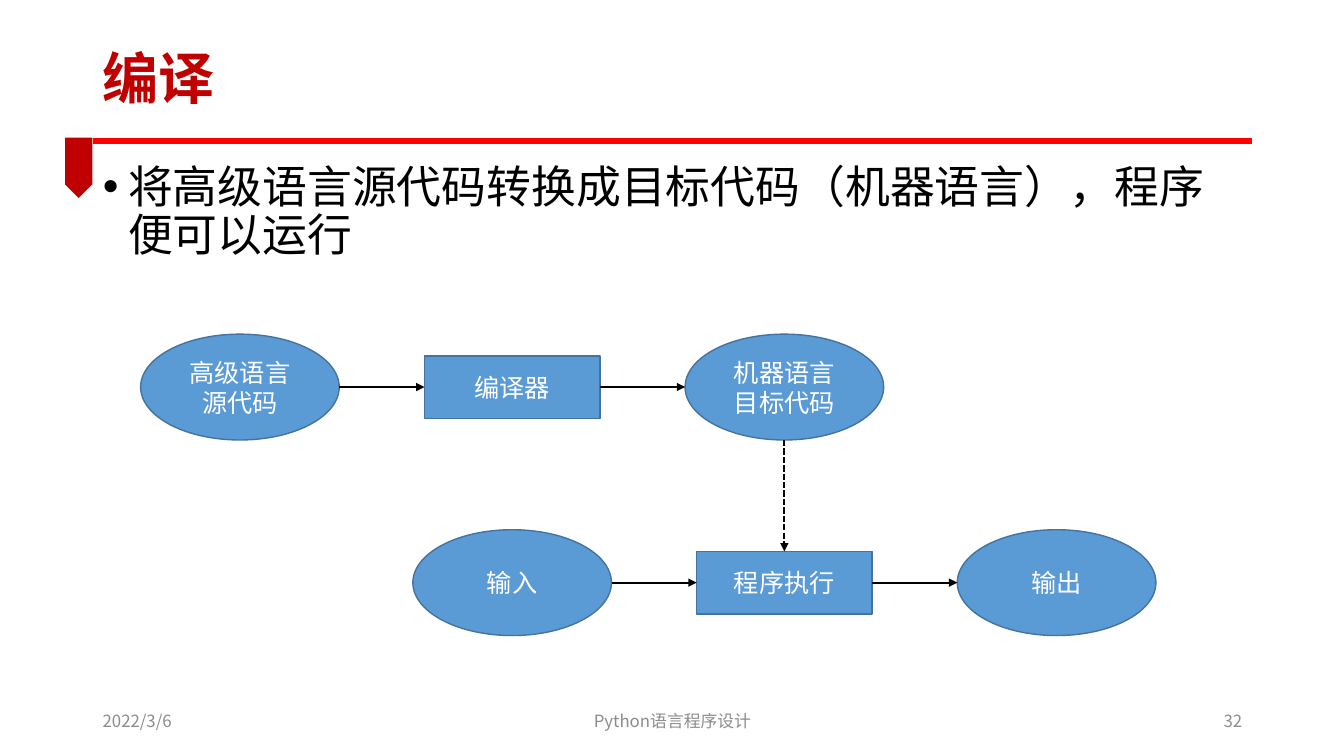
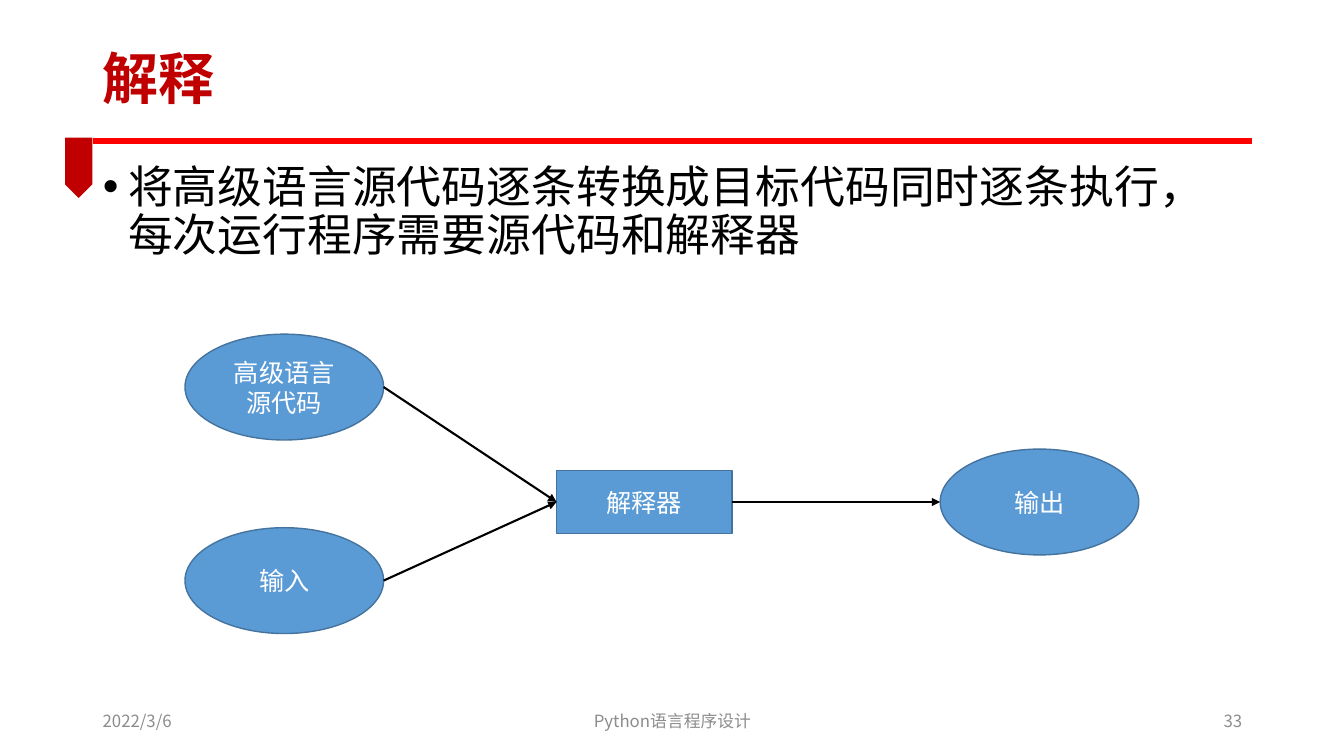
from lxml import etree
from pptx import Presentation
from pptx.dml.color import RGBColor
from pptx.enum.dml import MSO_LINE
from pptx.enum.shapes import MSO_CONNECTOR, MSO_SHAPE
from pptx.enum.text import MSO_ANCHOR, MSO_AUTO_SIZE, PP_ALIGN
from pptx.oxml.ns import qn
from pptx.util import Inches, Pt

OVAL, BOX, RIBBON = MSO_SHAPE.OVAL, MSO_SHAPE.RECTANGLE, MSO_SHAPE.PENTAGON
STRAIGHT = MSO_CONNECTOR.STRAIGHT
LEFT, CENTER, RIGHT = PP_ALIGN.LEFT, PP_ALIGN.CENTER, PP_ALIGN.RIGHT
MIDDLE, TOP = MSO_ANCHOR.MIDDLE, MSO_ANCHOR.TOP
SOLID, DASHED = MSO_LINE.SOLID, MSO_LINE.SQUARE_DOT

THEME = {
    "font": "Noto Sans CJK SC",
    "rule": RGBColor(0xFF, 0x00, 0x00),
    "ribbon": RGBColor(0xC0, 0x00, 0x00),
    "node": RGBColor(0x5B, 0x9B, 0xD5),
    "node_edge": RGBColor(0x43, 0x73, 0x9E),
    "arrow": RGBColor(0x00, 0x00, 0x00),
    "title": {"size": Pt(40), "bold": True, "color": RGBColor(0xC0, 0x00, 0x00)},
    "body": {"size": Pt(32), "bold": False, "color": RGBColor(0x00, 0x00, 0x00)},
    "footer": {"size": Pt(12), "bold": False, "color": RGBColor(0x8C, 0x8C, 0x8C)},
    "label": {"size": Pt(18), "bold": False, "color": RGBColor(0xFF, 0xFF, 0xFF)},
}

NODE_SIZE = {OVAL: (1.97, 1.05), BOX: (1.74, 0.62)}
# Direction: (x step, y step, site at the start, site at the end)
DIRECTIONS = {"right": (1, 0, 3, 1), "down": (0, 1, 2, 0)}

COLUMNS = [2.38 + 2.7 * i for i in range(4)]
UPPER, LOWER = 3.84, 5.78

# Nodes: label -> (shape, centre x, centre y); flows: (from, to, direction, dash)
SLIDES = [
    {
        "title": "编译",
        "body": "将高级语言源代码转换成目标代码（机器语言），程序便可以运行",
        "number": "32",
        "nodes": {
            "高级语言源代码": (OVAL, COLUMNS[0], UPPER),
            "机器语言目标代码": (OVAL, COLUMNS[2], UPPER),
            "输入": (OVAL, COLUMNS[1], LOWER),
            "输出": (OVAL, COLUMNS[3], LOWER),
            "编译器": (BOX, COLUMNS[1], UPPER),
            "程序执行": (BOX, COLUMNS[2], LOWER),
        },
        "flows": [
            ("高级语言源代码", "编译器", "right", SOLID),
            ("编译器", "机器语言目标代码", "right", SOLID),
            ("机器语言目标代码", "程序执行", "down", DASHED),
            ("输入", "程序执行", "right", SOLID),
            ("程序执行", "输出", "right", SOLID),
        ],
    },
    {
        "title": "解释",
        "body": "将高级语言源代码逐条转换成目标代码同时逐条执行，每次运行程序需要源代码和解释器",
        "number": "33",
        "nodes": {
            "高级语言源代码": (OVAL, 2.82, UPPER),
            "输入": (OVAL, 2.82, 5.76),
            "输出": (OVAL, 10.31, 4.98),
            "解释器": (BOX, 6.39, 4.98),
        },
        "flows": [
            ("高级语言源代码", "解释器", "right", SOLID),
            ("输入", "解释器", "right", SOLID),
            ("解释器", "输出", "right", SOLID),
        ],
    },
]


def write(frame, text, style, align, anchor=MIDDLE):
    """Fill a text frame with one paragraph in a style of the theme."""
    frame.word_wrap = True
    frame.auto_size = MSO_AUTO_SIZE.NONE
    frame.vertical_anchor = anchor
    paragraph = frame.paragraphs[0]
    paragraph.alignment = align
    paragraph.space_before = Pt(0)
    run = paragraph.add_run()
    run.text = text
    for name, value in THEME[style].items():
        if name == "color":
            run.font.color.rgb = value
        else:
            setattr(run.font, name, value)
    run.font.name = THEME["font"]
    east_asian = etree.SubElement(run.font._element, qn("a:ea"))
    east_asian.set("typeface", THEME["font"])
    return paragraph


def draw_line(shapes, points, color, width, dash=SOLID):
    line = shapes.add_connector(STRAIGHT, *[Inches(value) for value in points])
    line.line.color.rgb = color
    line.line.width = Pt(width)
    line.line.dash_style = dash
    etree.SubElement(line.element.spPr, qn("a:effectLst"))
    return line


prs = Presentation()
prs.slide_width, prs.slide_height = Inches(13.33), Inches(7.5)
layout = prs.slide_layouts[1]

placeholder_places = [(0.92, 0.35, 8.65, 0.92), (0.92, 1.58, 11.5, 5.18)]
for placeholder, place in zip(layout.placeholders, placeholder_places):
    for side, value in zip(("left", "top", "width", "height"), place):
        setattr(placeholder, side, Inches(value))

slides = [prs.slides.add_slide(layout) for _ in SLIDES]

# The rule and ribbon are drawn once, then moved to the master
first_shapes = slides[0].shapes
rule = draw_line(first_shapes, (0.92, 1.4, 12.42, 1.4), THEME["rule"], 4.5)
ribbon = first_shapes.add_shape(
    RIBBON, Inches(0.48), Inches(1.53), Inches(0.6), Inches(0.27))
ribbon.rotation = 90
ribbon.shadow.inherit = False
ribbon.fill.solid()
ribbon.fill.fore_color.rgb = THEME["ribbon"]
ribbon.line.fill.background()
for shape_id, decoration in enumerate((rule, ribbon), start=20):
    decoration.element.xpath(".//p:cNvPr")[0].set("id", str(shape_id))
    prs.slide_master.shapes.element.append(decoration.element)

for slide, content in zip(slides, SLIDES):
    shapes = slide.shapes
    title = write(shapes.title.text_frame, content["title"], "title", LEFT)
    body = write(slide.placeholders[1].text_frame, content["body"], "body", LEFT, TOP)
    title.line_spacing = body.line_spacing = 0.9
    body_format = body._p.get_or_add_pPr()
    body_format.set("marL", str(Inches(0.25)))
    body_format.set("indent", str(Inches(-0.25)))

    footers = [
        (0.92, 3, "2022/3/6", LEFT),
        (4.42, 4.5, "Python语言程序设计", CENTER),
        (9.42, 3, content["number"], RIGHT),
    ]
    for left, width, text, align in footers:
        footer = shapes.add_textbox(Inches(left), Inches(6.95), Inches(width), Inches(0.4))
        write(footer.text_frame, text, "footer", align)

    nodes = {}
    for label, (outline, x, y) in content["nodes"].items():
        width, height = NODE_SIZE[outline]
        node = shapes.add_shape(
            outline, Inches(x - width / 2), Inches(y - height / 2),
            Inches(width), Inches(height))
        node.shadow.inherit = False
        node.fill.solid()
        node.fill.fore_color.rgb = THEME["node"]
        node.line.color.rgb = THEME["node_edge"]
        node.line.width = Pt(1)
        write(node.text_frame, label, "label", CENTER)
        nodes[label] = node

    for source, target, direction, dash in content["flows"]:
        step_x, step_y, start_site, end_site = DIRECTIONS[direction]
        points = []
        for label, sign in ((source, 1), (target, -1)):
            outline, x, y = content["nodes"][label]
            width, height = NODE_SIZE[outline]
            points += [x + sign * step_x * width / 2, y + sign * step_y * height / 2]
        arrow = draw_line(shapes, points, THEME["arrow"], 1.5, dash)
        if content["nodes"][source][0] == BOX:
            arrow.begin_connect(nodes[source], start_site)
        if content["nodes"][target][0] == BOX:
            arrow.end_connect(nodes[target], end_site)
        head = etree.SubElement(arrow.element.spPr.find(qn("a:ln")), qn("a:tailEnd"))
        head.set("type", "triangle")

prs.save("out.pptx")
